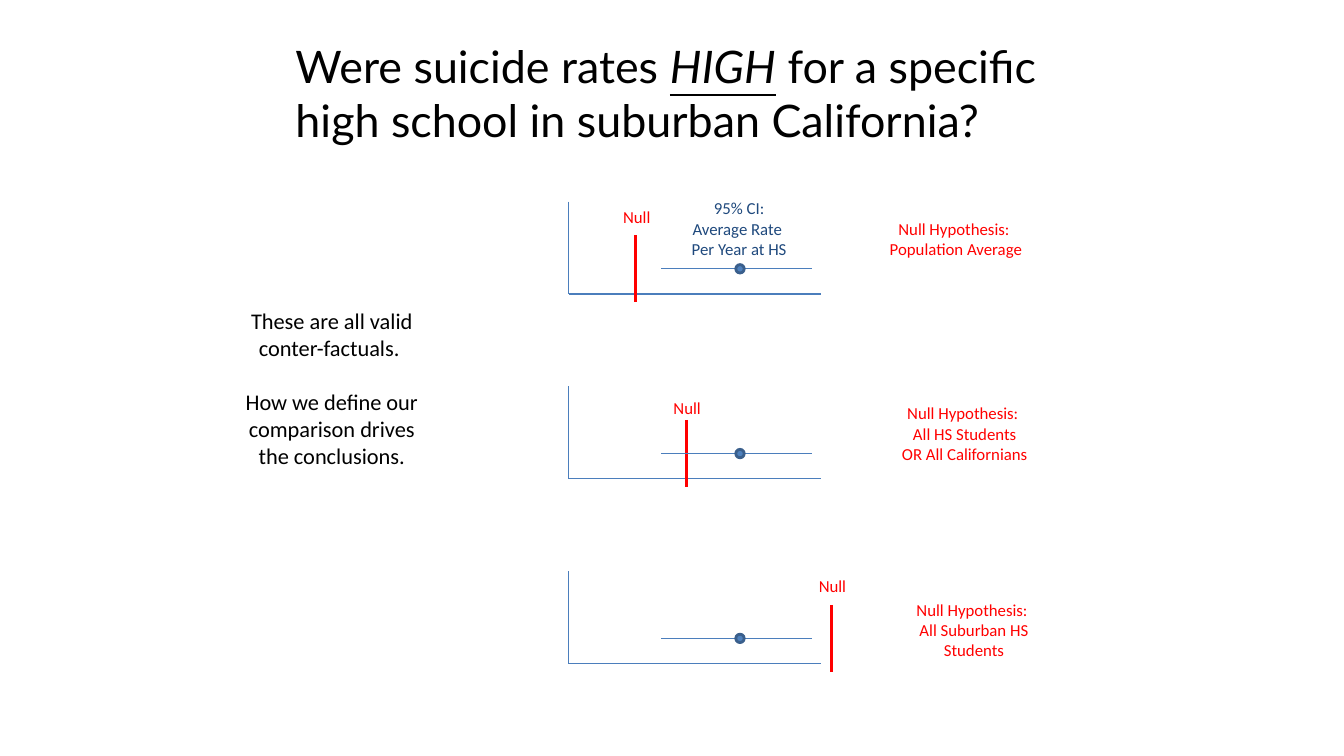
from dataclasses import dataclass
from pptx import Presentation
from pptx.dml.color import RGBColor as RGB
from pptx.enum.shapes import MSO_CONNECTOR as CONN, MSO_SHAPE as SHAPE
from pptx.enum.text import PP_ALIGN as ALIGN
from pptx.oxml.ns import qn
from pptx.util import Inches, Pt
from lxml.etree import SubElement


@dataclass(frozen=True)
class Theme:
    black: RGB = RGB(0, 0, 0)
    null: RGB = RGB(0xFF, 0, 0)
    interval: RGB = RGB(0x1F, 0x49, 0x7D)
    axis: RGB = RGB(0x4B, 0x7E, 0xBC)
    dot: RGB = RGB(0x4F, 0x81, 0xBD)
    dot_edge: RGB = RGB(0x3A, 0x5F, 0x8C)
    title_font: str = "Lato"
    body_font: str = "Calibri"
    title_size: int = 32
    body_size: int = 16
    label_size: int = 12
    paragraph_gap: float = 19.5
    thin: float = 0.75
    thick: float = 2


THEME = Theme()
COLS, ROWS = 160, 90
WIDTH, HEIGHT = Inches(13.33), Inches(7.5)
AXIS_LEFT, AXIS_RIGHT = 67.7, 97.7
CI_LEFT, CI_RIGHT, ESTIMATE = 78.7, 96.7, 88.1
FIRST_PANEL, PANEL_PITCH = 24, 22
AXIS_DROP, CI_DROP, NULL_TOP, NULL_BOTTOM = 11, 8, 4, 12
DOT = 1

PANELS = [
    (75.7, 24, (104.6, 25.4, 18.4, 6),
     ["Null Hypothesis: \vPopulation Average"]),
    (81.7, 46.8, (106.1, 47.4, 17.5, 8.5),
     ["Null Hypothesis: \vAll HS Students", "OR All Californians"]),
    (99, 68, (107.8, 70.8, 16.3, 8.5),
     ["Null Hypothesis: \vAll Suburban HS\vStudents"]),
]


def col(n):
    return round(WIDTH * n / COLS)


def row(n):
    return round(HEIGHT * n / ROWS)


def add_text(s, box, paragraphs, color, size=THEME.label_size, wrap=False, gap=0):
    x, y, w, h = box
    tf = s.shapes.add_textbox(col(x), row(y), col(w), row(h)).text_frame
    tf.word_wrap = wrap
    for i, text in enumerate(paragraphs):
        p = tf.add_paragraph() if i else tf.paragraphs[0]
        p.text = text
        p.alignment = ALIGN.CENTER
        if i and gap:
            p.space_before = Pt(gap)
        p.font.name = THEME.body_font
        p.font.size = Pt(size)
        p.font.color.rgb = color


def add_title(s):
    tf = s.shapes.add_textbox(col(34), row(4), col(92), row(14.2)).text_frame
    tf.word_wrap = True
    p = tf.paragraphs[0]
    for text, stressed in [
        ("Were suicide rates ", False),
        ("HIGH", True),
        (" for a specific high school in suburban California?", False),
    ]:
        r = p.add_run()
        r.text = text
        if stressed:
            r.font.italic = r.font.underline = True
    p.font.name = THEME.title_font
    p.font.size = Pt(THEME.title_size)
    p.font.color.rgb = THEME.black


def add_line(s, x1, y1, x2, y2, color=THEME.axis, width=THEME.thin):
    line = s.shapes.add_connector(CONN.STRAIGHT, col(x1), row(y1), col(x2), row(y2))
    line.line.color.rgb = color
    line.line.width = Pt(width)
    SubElement(line._element.spPr, qn("a:effectLst"))


def add_dot(s, x, y):
    sp = s.shapes.add_shape(SHAPE.OVAL, col(x - DOT / 2), row(y - DOT / 2),
                            col(DOT), row(DOT))
    sp.shadow.inherit = False
    sp.fill.solid()
    sp.fill.fore_color.rgb = THEME.dot
    sp.line.color.rgb = THEME.dot_edge
    sp.line.width = Pt(THEME.thick)


def add_panel(s, top, null_x, null_label_y, hypothesis_box, hypothesis):
    base, ci = top + AXIS_DROP, top + CI_DROP
    add_line(s, AXIS_LEFT, top, AXIS_LEFT, base)
    add_line(s, AXIS_LEFT, base, AXIS_RIGHT, base)
    add_line(s, null_x, top + NULL_TOP, null_x, top + NULL_BOTTOM,
             THEME.null, THEME.thick)
    add_line(s, CI_LEFT, ci, CI_RIGHT, ci)
    add_dot(s, ESTIMATE, ci)
    add_text(s, (null_x - 2.8, null_label_y, 5.8, 3.6), ["Null"], THEME.null)
    add_text(s, hypothesis_box, hypothesis, THEME.null)


def main():
    prs = Presentation()
    prs.slide_width, prs.slide_height = WIDTH, HEIGHT
    s = prs.slides.add_slide(prs.slide_layouts[6])
    add_title(s)
    for i, panel in enumerate(PANELS):
        add_panel(s, FIRST_PANEL + i * PANEL_PITCH, *panel)
    add_text(s, (81.1, 23, 13.8, 8.5),
             ["95% CI:", "Average Rate \vPer Year at HS"], THEME.interval)
    add_text(s, (27, 36, 25, 20.6),
             ["These are all valid conter-factuals. ",
              "How we define our comparison drives the conclusions."],
             THEME.black, THEME.body_size, wrap=True, gap=THEME.paragraph_gap)
    prs.save("out.pptx")


if __name__ == "__main__":
    main()
